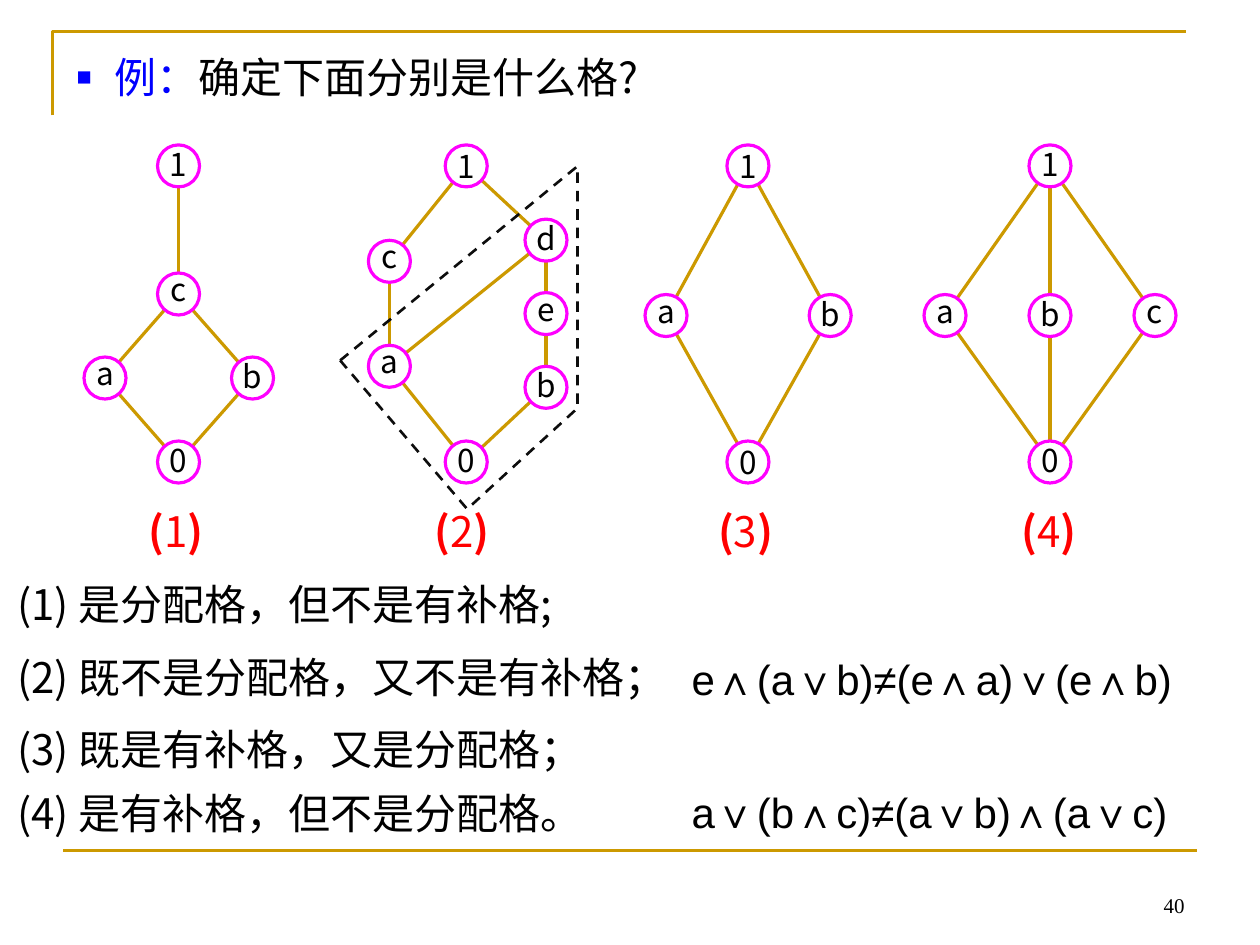
"""Builds a slide that classifies four lattices drawn as Hasse diagrams."""
from lxml import etree
from pptx import Presentation
from pptx.dml.color import RGBColor
from pptx.enum.dml import MSO_LINE
from pptx.enum.shapes import MSO_CONNECTOR, MSO_SHAPE
from pptx.enum.text import MSO_ANCHOR, MSO_AUTO_SIZE, PP_ALIGN
from pptx.oxml.ns import qn
from pptx.util import Pt

STRAIGHT, OVAL, DASH = MSO_CONNECTOR.STRAIGHT, MSO_SHAPE.OVAL, MSO_LINE.DASH
TOP, MIDDLE, BOTTOM = MSO_ANCHOR.TOP, MSO_ANCHOR.MIDDLE, MSO_ANCHOR.BOTTOM
LEFT, CENTER, RIGHT = PP_ALIGN.LEFT, PP_ALIGN.CENTER, PP_ALIGN.RIGHT
FIT = MSO_AUTO_SIZE.SHAPE_TO_FIT_TEXT

GOLD = RGBColor(0xCC, 0x99, 0x00)
MAGENTA = RGBColor(0xFF, 0x00, 0xFF)
RED = RGBColor(0xFF, 0x00, 0x00)
BLUE = RGBColor(0x00, 0x00, 0xFF)
BLACK = RGBColor(0x00, 0x00, 0x00)
DARK = RGBColor(0x0D, 0x0D, 0x0D)
WHITE = RGBColor(0xFF, 0xFF, 0xFF)

CJK, SANS, SERIF = "Noto Sans CJK SC", "Arial", "Times New Roman"
NODE = 24

LATTICES = [
    ("1", 77.8, "1c ca cb a0 b0", "",
     {"1": (102, 94.8), "c": (102, 168), "a": (60, 216), "b": (144.3, 216), "0": (102, 264)}),
    ("2", 241.2, "1c 1d ca da de eb a0 b0", "1",
     {"1": (266.4, 94.8), "c": (222.5, 149.3), "a": (222.5, 209.3), "d": (312, 137.2),
      "e": (312, 179.2), "b": (312, 221.3), "0": (266.4, 264)}),
    ("3", 403.2, "1a 1b a0 b0", "10",
     {"1": (427.4, 94.8), "a": (380.6, 180.3), "b": (474.4, 180.3), "0": (427.4, 264)}),
    ("4", 576.7, "1a 1b 1c a0 b0 c0", "",
     {"1": (600, 94.8), "a": (540, 180.3), "b": (600, 180.3), "c": (660, 180.3), "0": (600, 264)}),
]

ANSWERS = [
    (326.9, "(1) 是分配格，但不是有补格;"),
    (368.6, "(2) 既不是分配格，又不是有补格；"),
    (409.7, "(3) 既是有补格，又是分配格；"),
    (446.4, "(4) 是有补格，但不是分配格。"),
]

FORMULAS = [(370.1, "e∧(a∨b)≠(e∧a)∨(e∧b)"), (445.7, "a∨(b∧c)≠(a∨b)∧(a∨c)")]


def add_run(p, text, size=24, font=CJK, color=BLACK, bold=False):
    r = p.add_run()
    r.text = text
    r.font.size, r.font.name, r.font.bold = Pt(size), font, bold
    r.font.color.rgb = color
    etree.SubElement(r.font._element, qn("a:ea")).set("typeface", CJK)


class LatticeSlide:
    def __init__(self, prs):
        self.s = prs.slides.add_slide(prs.slide_layouts[6])

    def text(self, x, y, w, h, runs, align=LEFT, anchor=TOP, wrap=True, bullet=False):
        tf = self.s.shapes.add_textbox(Pt(x), Pt(y), Pt(w), Pt(h)).text_frame
        tf.word_wrap, tf.vertical_anchor = wrap, anchor
        if anchor == TOP:
            tf.auto_size = FIT
        p = tf.paragraphs[0]
        p.alignment = align
        if bullet:
            pPr = p._p.get_or_add_pPr()
            pPr.set("marL", str(Pt(21.6)))
            pPr.set("indent", str(Pt(-21.6)))
            for tag, key, value in (("buSzPct", "val", "60000"), ("buFont", "typeface", SANS),
                                    ("buChar", "char", "■")):
                etree.SubElement(pPr, qn(f"a:{tag}")).set(key, value)
        for text, style in runs:
            add_run(p, text, **style)

    def line(self, start, end, width=1.8):
        c = self.s.shapes.add_connector(STRAIGHT, *(Pt(v) for v in start + end))
        c.line.color.rgb, c.line.width = GOLD, Pt(width)
        etree.SubElement(c._element.spPr, qn("a:effectLst"))

    def outline(self, points, color, close=False, dash=None):
        fb = self.s.shapes.build_freeform(Pt(points[0][0]), Pt(points[0][1]))
        fb.add_line_segments([(Pt(x), Pt(y)) for x, y in points[1:]], close=close)
        sp = fb.convert_to_shape()
        sp.shadow.inherit = False
        sp.fill.background()
        sp.line.color.rgb, sp.line.width = color, Pt(1.5)
        if dash:
            sp.line.dash_style = dash

    def node(self, label, center, level=False):
        x, y = (v - NODE / 2 for v in center)
        sp = self.s.shapes.add_shape(OVAL, Pt(x), Pt(y), Pt(NODE), Pt(NODE))
        sp.shadow.inherit = False
        sp.fill.solid()
        sp.fill.fore_color.rgb = WHITE
        sp.line.color.rgb, sp.line.width = MAGENTA, Pt(1.8)
        tf = sp.text_frame
        tf.word_wrap, tf.vertical_anchor = False, MIDDLE
        tf.margin_left = tf.margin_right = Pt(7.2)
        tf.margin_top = Pt(0 if label in "ace" else 3.6)
        tf.margin_bottom = Pt(3.6 if level else 5.8)
        p = tf.paragraphs[0]
        p.alignment = CENTER
        add_run(p, label, size=18)

    def lattice(self, number, caption_x, edges, level_labels, nodes):
        strong = {"color": RED, "bold": True}
        self.text(caption_x, 285.1, 48, 36,
                  [("(", strong), (number, {"color": RED}), (")", strong)])
        for upper, lower in edges.split():
            self.line(nodes[upper], nodes[lower])
        for label, center in nodes.items():
            self.node(label, center, label in level_labels)


def main():
    prs = Presentation()
    prs.slide_width, prs.slide_height = Pt(720), Pt(540)
    slide = LatticeSlide(prs)
    slide.outline([(30, 66), (30, 18), (678, 18)], GOLD)
    slide.line((36, 486), (684, 486), width=1.5)
    slide.text(36.7, 25.9, 430.6, 36,
               [("例：", {"color": BLUE}), ("确定下面分别是什么格?", {})], bullet=True)
    for y, answer in ANSWERS:
        slide.text(2.9, y, 408, 36.5, [(answer, {})])
    for y, formula in FORMULAS:
        slide.text(388.1, y, 292, 36, [(formula, {"font": SANS})], wrap=False)
    slide.text(516.2, 491.8, 167.8, 36, [("40", {"size": 12, "font": SERIF})],
               align=RIGHT, anchor=BOTTOM)
    for lattice in LATTICES:
        slide.lattice(*lattice)
    slide.outline([(194.4, 206), (330, 95), (330, 233.3), (267, 290.9)], DARK,
                  close=True, dash=DASH)
    prs.save("out.pptx")


if __name__ == "__main__":
    main()
